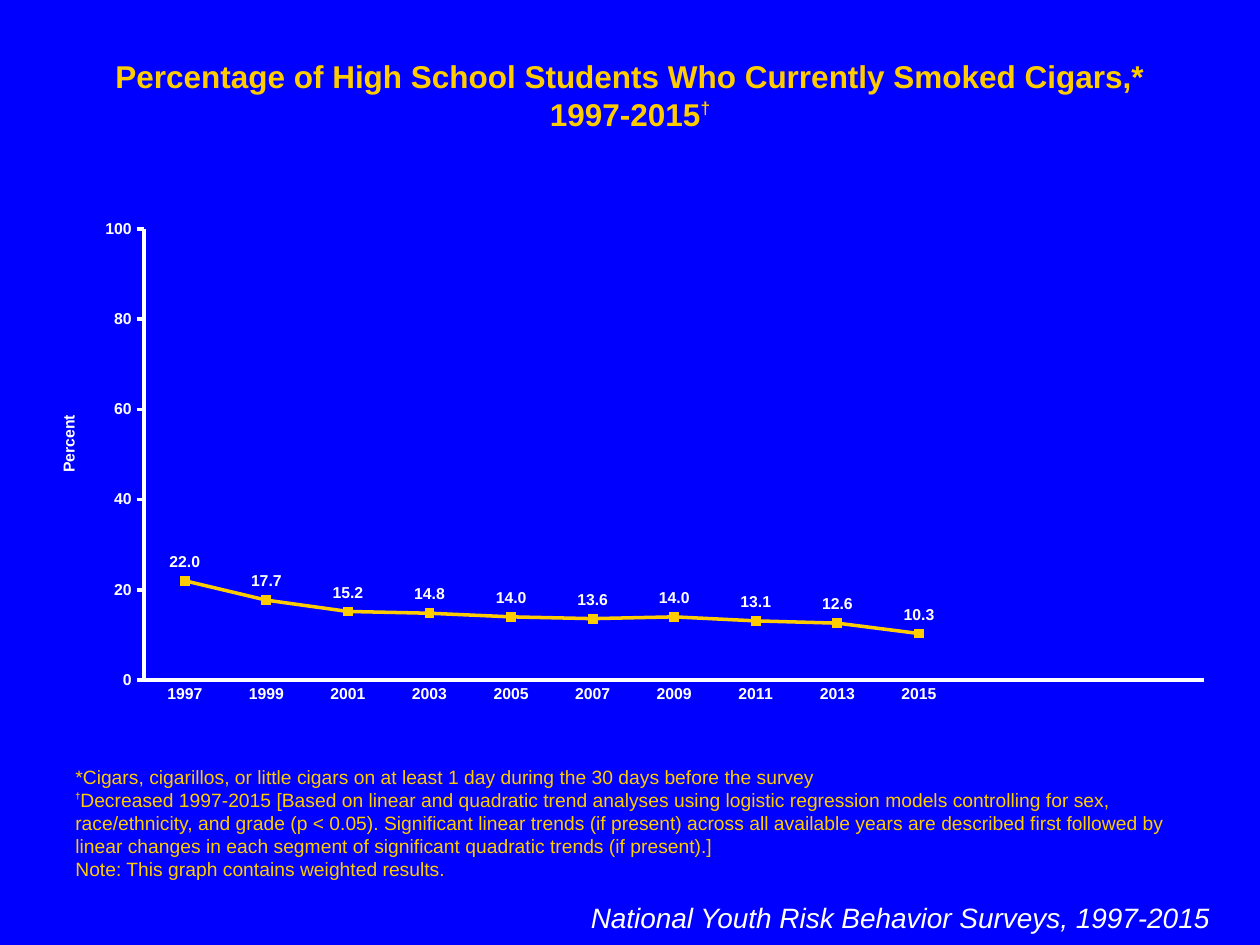
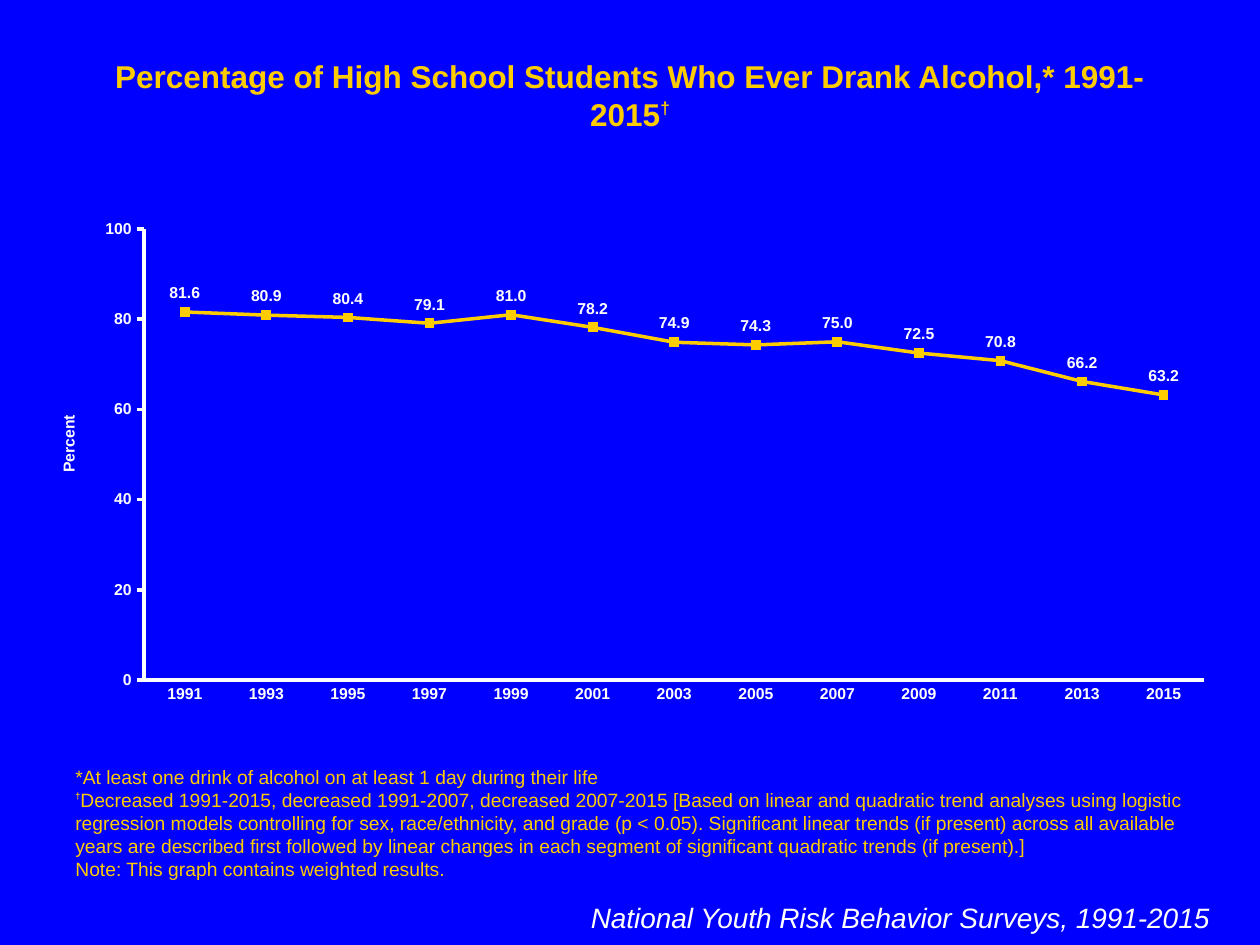
from dataclasses import dataclass
from typing import NamedTuple

from pptx import Presentation
from pptx.chart.data import CategoryChartData
from pptx.dml.color import RGBColor
from pptx.enum.chart import XL_CHART_TYPE as ChartType
from pptx.enum.chart import XL_LABEL_POSITION as LabelPos
from pptx.enum.chart import XL_MARKER_STYLE as Marker
from pptx.enum.chart import XL_TICK_MARK as Tick
from pptx.enum.text import MSO_ANCHOR as Anchor
from pptx.enum.text import MSO_AUTO_SIZE as AutoSize
from pptx.enum.text import PP_ALIGN as Align
from pptx.oxml import parse_xml
from pptx.oxml.ns import nsdecls, qn
from pptx.util import Emu, Pt

EMU_PER_PX = 9144  # 100 px to the inch
COLORS = {"background": "0000FF", "accent": "FFCC00", "light": "FFFFFF"}
LAST_YEAR = 2015
CATEGORY_COUNT = 13
TITLE_ONLY = 5


class Box(NamedTuple):
    left: int
    top: int
    width: int
    height: int

    def emu(self) -> list[Emu]:
        return [Emu(length * EMU_PER_PX) for length in self]


class Span(NamedTuple):
    text: str
    style: str
    raised: int = 0  # superscript, percent


@dataclass
class Survey:
    behavior: str
    definition: str
    trend: str
    first_year: int
    percents: list[float]

    @property
    def period(self) -> str:
        return f"{self.first_year}-{LAST_YEAR}"


TITLE_BOX = Box(50, 40, 900, 75)
NOTES_BOX = Box(50, 603, 900, 101)
SOURCE_BOX = Box(453, 710, 517, 37)
CHART_BOX = Box(25, 167, 950, 400)

# Colour and font format of each text role
STYLES = {
    "title": ("accent", {"size": Pt(18), "bold": True}),
    "title mark": ("accent", {"size": Pt(17), "bold": True}),
    "note": ("accent", {"size": Pt(11), "bold": False}),
    "note mark": ("accent", {"size": Pt(9), "bold": True}),
    "source": ("light", {"size": Pt(16), "italic": True}),
    "chart": ("light", {"size": Pt(18)}),
    "chart label": ("light", {"size": Pt(9), "bold": True}),
}

METHOD = (
    "[Based on linear and quadratic trend analyses using logistic regression models "
    "controlling for sex, race/ethnicity, and grade (p < 0.05). Significant linear trends "
    "(if present) across all available years are described first followed by linear changes "
    "in each segment of significant quadratic trends (if present).]"
)

SURVEYS = [
    Survey(
        "Currently Smoked Cigars",
        "Cigars, cigarillos, or little cigars on at least 1 day during the 30 days before the survey",
        "Decreased 1997-2015",
        1997,
        [22, 17.7, 15.2, 14.8, 14, 13.6, 14, 13.1, 12.6, 10.3],
    ),
    Survey(
        "Ever Drank Alcohol",
        "At least one drink of alcohol on at least 1 day during their life",
        "Decreased 1991-2015, decreased 1991-2007, decreased 2007-2015",
        1991,
        [81.6, 80.9, 80.4, 79.1, 81, 78.2, 74.9, 74.3, 75, 72.5, 70.8, 66.2, 63.2],
    ),
]


def set_all(target, values: dict) -> None:
    for attribute, value in values.items():
        setattr(target, attribute, value)


def rgb(color: str) -> RGBColor:
    return RGBColor.from_string(COLORS[color])


def format_font(font, style: str) -> None:
    color, values = STYLES[style]
    set_all(font, {"name": "Arial", **values})
    font.color.rgb = rgb(color)


def paint_line(line, color: str) -> None:
    line.width = Pt(2)
    line.color.rgb = rgb(color)


def write(shape, paragraphs: list[list[Span]], align: Align, anchor: Anchor = Anchor.TOP) -> None:
    frame = shape.text_frame
    set_all(frame, {"word_wrap": True, "auto_size": AutoSize.NONE, "vertical_anchor": anchor})
    for index, spans in enumerate(paragraphs):
        paragraph = frame.add_paragraph() if index else frame.paragraphs[0]
        paragraph.alignment = align
        for span in spans:
            run = paragraph.add_run()
            run.text = span.text
            format_font(run.font, span.style)
            if span.raised:
                run._r.get_or_add_rPr().set("baseline", str(span.raised * 1000))


def manual_layout(inner: bool = False, **fractions: float):
    """Chart layout with its position given as fractions of the chart."""
    target = '<c:layoutTarget val="inner"/>' if inner else ""
    modes = "".join(f'<c:{axis}Mode val="edge"/>' for axis in "xy")
    places = "".join(f'<c:{key} val="{value}"/>' for key, value in fractions.items())
    return parse_xml(
        f'<c:layout {nsdecls("c")}><c:manualLayout>{target}{modes}{places}</c:manualLayout></c:layout>'
    )


def place(parent, layout, before: str) -> None:
    """Replace any layout of parent, keeping it just ahead of the given child."""
    for old in parent.findall(qn("c:layout")):
        parent.remove(old)
    parent.find(qn(before)).addprevious(layout)


def format_axes(chart) -> None:
    years, percent = chart.category_axis, chart.value_axis
    for axis, tick in ((years, Tick.NONE), (percent, Tick.OUTSIDE)):
        set_all(axis, {"has_major_gridlines": False, "major_tick_mark": tick,
                       "minor_tick_mark": Tick.NONE})
        format_font(axis.tick_labels.font, "chart label")
        paint_line(axis.format.line, "light")
    set_all(percent, {"minimum_scale": 0, "maximum_scale": 100, "major_unit": 20})
    set_all(percent.tick_labels, {"number_format": "#,##0", "number_format_is_linked": False})

    # Points stand in the middle of their year
    if percent._element.find(qn("c:crossBetween")) is None:
        percent._element.find(qn("c:crosses")).addnext(
            parse_xml(f'<c:crossBetween {nsdecls("c")} val="between"/>'))

    # Upright axis title
    title = percent.axis_title
    title.text_frame.text = "Percent"
    format_font(title.text_frame.paragraphs[0].runs[0].font, "chart label")
    set_all(title.format.fill, {})
    heading = title._element
    body = next(heading.iter(qn("a:bodyPr")))
    for key, value in {"rot": "-5400000", "vert": "horz"}.items():
        body.set(key, value)
    for old in heading.findall(qn("c:layout")):
        heading.remove(old)
    heading.find(qn("c:tx")).addnext(manual_layout(x=0.02, y=0.4))


def add_trend_chart(slide, survey: Survey) -> None:
    years = [str(year) for year in range(survey.first_year, LAST_YEAR + 1, 2)]
    spare = CATEGORY_COUNT - len(years)
    data = CategoryChartData(number_format="#,##0.0")
    data.categories = years + [""] * spare
    data.add_series("Series 1", survey.percents + [None] * spare)
    chart = slide.shapes.add_chart(ChartType.LINE_MARKERS, *CHART_BOX.emu(), data).chart
    set_all(chart, {"has_legend": False, "has_title": False})
    format_font(chart.font, "chart")
    format_axes(chart)

    # Plot area
    plot = chart.plots[0]
    plot.vary_by_categories = False
    place(plot._element.getparent(),
          manual_layout(inner=True, x=0.094, y=0.037, w=0.886, h=0.895), "c:lineChart")

    # Trend line, markers and values
    trend = plot.series[0]
    trend.smooth = False
    paint_line(trend.format.line, "accent")
    set_all(trend.marker, {"style": Marker.SQUARE, "size": 5})
    trend.marker.format.fill.solid()
    trend.marker.format.fill.fore_color.rgb = rgb("accent")
    trend.marker.format.line.color.rgb = rgb("accent")
    labels = trend.data_labels
    set_all(labels, {"show_value": True, "position": LabelPos.ABOVE,
                     "number_format": "#,##0.0", "number_format_is_linked": False})
    format_font(labels.font, "chart label")


def add_survey_slide(deck, survey: Survey) -> None:
    slide = deck.slides.add_slide(deck.slide_layouts[TITLE_ONLY])

    # Title
    title = slide.shapes.title
    set_all(title, dict(zip(("left", "top", "width", "height"), TITLE_BOX.emu())))
    heading = f"Percentage of High School Students Who {survey.behavior},* {survey.period}"
    write(title, [[Span(heading, "title"), Span("†", "title mark", 40)]], Align.CENTER)

    # Footnotes
    notes = [
        [Span(f"*{survey.definition}", "note")],
        [Span("†", "note mark", 50), Span(f"{survey.trend} {METHOD}", "note")],
        [Span("Note: This graph contains weighted results.", "note")],
    ]
    write(slide.shapes.add_textbox(*NOTES_BOX.emu()), notes, Align.LEFT, Anchor.BOTTOM)

    # Source
    source = f"National Youth Risk Behavior Surveys, {survey.period}"
    write(slide.shapes.add_textbox(*SOURCE_BOX.emu()), [[Span(source, "source")]], Align.RIGHT)

    add_trend_chart(slide, survey)


def main() -> None:
    deck = Presentation()
    set_all(deck, {"slide_width": Emu(1000 * EMU_PER_PX), "slide_height": Emu(750 * EMU_PER_PX)})
    backdrop = deck.slide_master.background.fill
    backdrop.solid()
    backdrop.fore_color.rgb = rgb("background")
    for survey in SURVEYS:
        add_survey_slide(deck, survey)
    deck.save("out.pptx")


if __name__ == "__main__":
    main()
